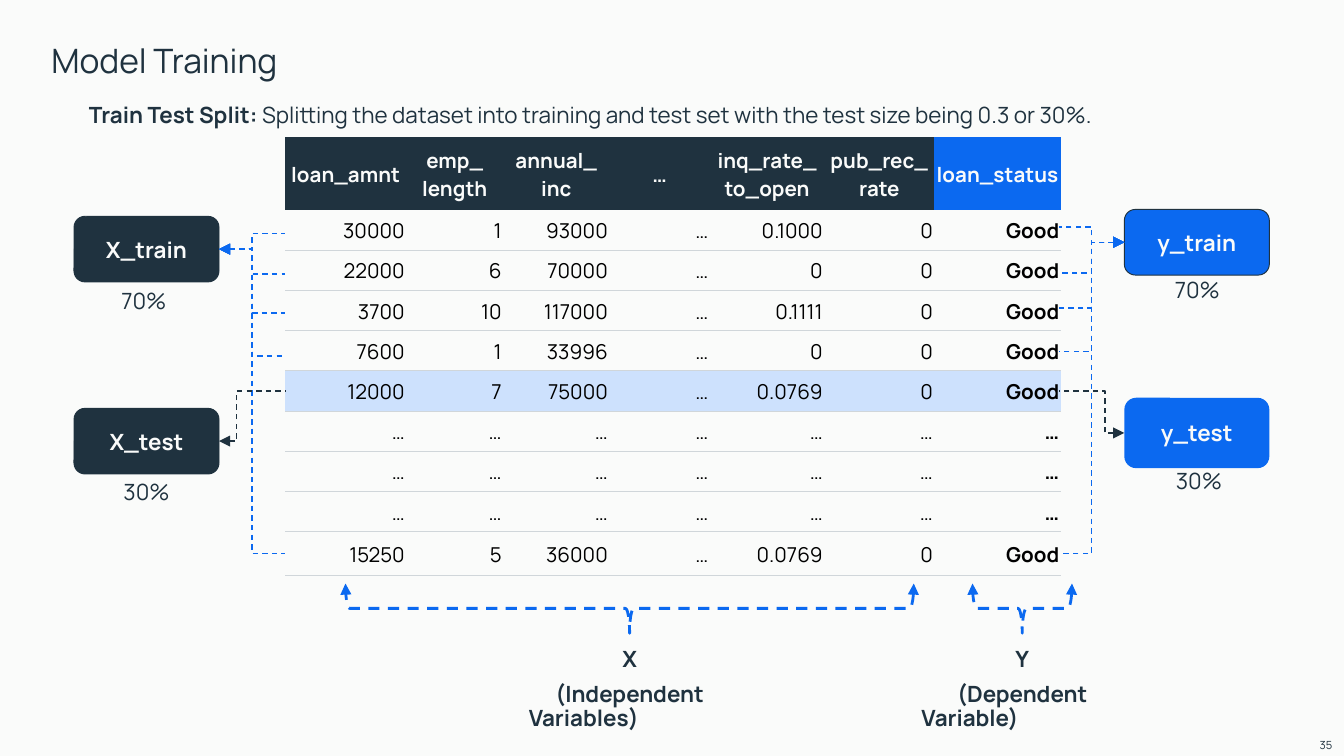
from dataclasses import dataclass

from lxml import etree
from pptx import Presentation
from pptx import util as u
from pptx.dml.color import RGBColor
from pptx.enum import dml, shapes, text
from pptx.oxml.ns import qn


@dataclass(frozen=True)
class Theme:
    font: str = "Manrope"
    dark: RGBColor = RGBColor(0x1F, 0x32, 0x3F)
    blue: RGBColor = RGBColor(0x0B, 0x69, 0xF0)
    pale: RGBColor = RGBColor(0xFA, 0xFB, 0xFA)
    highlight: RGBColor = RGBColor(0xCD, 0xE1, 0xFD)
    rule: RGBColor = RGBColor(0xD0, 0xD6, 0xDA)
    black: RGBColor = RGBColor(0, 0, 0)
    title: int = 18
    body: int = 12
    cell: int = 11
    number: int = 6


theme = Theme()
align = text.PP_ALIGN


def write(frame, lines, size, color, bold=False, alignment=align.CENTER, spacing=1.0, gap=0):
    """Fill a frame without insets, one paragraph per line."""
    frame.margin_left = frame.margin_right = frame.margin_top = frame.margin_bottom = 0
    frame.vertical_anchor = text.MSO_ANCHOR.MIDDLE
    frame.word_wrap = True
    for index, line in enumerate(lines):
        para = frame.add_paragraph() if index else frame.paragraphs[0]
        para.add_run().text = line
        para.alignment = alignment
        para.line_spacing = spacing
        para.space_before = u.Pt(gap if index else 0)
        para.font.name = theme.font
        para.font.size = u.Pt(size)
        para.font.bold = bold
        para.font.color.rgb = color


def dash(line, color, width, ends):
    """Style a dashed line with triangles at the given ends."""
    line.color.rgb = color
    line.width = u.Pt(width)
    line.dash_style = dml.MSO_LINE.DASH
    for end in ends:
        etree.SubElement(line._get_or_add_ln(), qn(f"a:{end}"), type="triangle")


deck = Presentation()
deck.slide_width, deck.slide_height = u.Cm(25.4), u.Cm(14.29)
page = deck.slides.add_slide(deck.slide_layouts[5])
page.background.fill.solid()
page.background.fill.fore_color.rgb = theme.pale

# Title, lead sentence and page number
title = page.shapes.title
title.left, title.top, title.width, title.height = u.Cm(0.97), u.Cm(0.76), u.Cm(23.5), u.Cm(0.86)
write(title.text_frame, ["Model Training"], theme.title, theme.dark, alignment=align.LEFT)
title.text_frame.vertical_anchor = text.MSO_ANCHOR.TOP
title.text_frame.auto_size = text.MSO_AUTO_SIZE.NONE

lead = page.shapes.add_textbox(u.Cm(1.68), u.Cm(1.96), u.Cm(20.29), u.Cm(0.46))
write(lead.text_frame, ["Train Test Split: "], theme.body, theme.dark, alignment=align.LEFT, spacing=0.9)
lead_para = lead.text_frame.paragraphs[0]
lead_para.font.bold = False
lead_para.runs[0].font.bold = True
lead_para.add_run().text = (
    "Splitting the dataset into training and test set with the test size being 0.3 or 30%."
)

number = page.shapes.add_textbox(u.Cm(24.94), u.Cm(13.87), u.Cm(0.25), u.Cm(0.41))
write(number.text_frame, ["35"], theme.number, theme.dark, alignment=align.LEFT)
number.text_frame.word_wrap = False

# Loan table
rows = [
    ["loan_amnt", "emp_\nlength", "annual_\ninc", "…", "inq_rate_\nto_open", "pub_rec_\nrate", "loan_status"],
    ["30000", "1", "93000", "…", "0.1000", "0", "Good"],
    ["22000", "6", "70000", "…", "0", "0", "Good"],
    ["3700", "10", "117000", "…", "0.1111", "0", "Good"],
    ["7600", "1", "33996", "…", "0", "0", "Good"],
    ["12000", "7", "75000", "…", "0.0769", "0", "Good"],
    *[["…"] * 7] * 3,
    ["15250", "5", "36000", "…", "0.0769", "0", "Good"],
]
column_widths = [2.29, 1.83, 2.01, 1.9, 2.16, 2.08, 2.39]
row_heights = [1.38] + [0.76] * 8 + [0.83]
test_row, target_column = 5, 6
table_left, table_right = 5.39, 20.02
frame = page.shapes.add_table(
    len(rows), len(column_widths), u.Cm(table_left), u.Cm(2.59),
    u.Cm(sum(column_widths)), u.Cm(sum(row_heights)),
)
table = frame.table
table.horz_banding = False
# "No Style, No Grid"
table._tbl.tblPr.find(qn("a:tableStyleId")).text = "{2D5ABB26-0587-4C30-8999-92F81FD0307C}"
for column, width in zip(table.columns, column_widths):
    column.width = u.Cm(width)
for row, height in zip(table.rows, row_heights):
    row.height = u.Cm(height)

for r, values in enumerate(rows):
    for c, value in enumerate(values):
        cell = table.cell(r, c)
        header, target = r == 0, c == target_column
        write(
            cell.text_frame, value.split("\n"), theme.cell,
            theme.pale if header else theme.black, header or target,
            align.CENTER if header else align.RIGHT,
        )
        cell.vertical_anchor = text.MSO_ANCHOR.MIDDLE
        cell.margin_left = cell.margin_right = cell.margin_top = u.Cm(0.03)
        cell.margin_bottom = 0
        cell.fill.solid()
        if header:
            cell.fill.fore_color.rgb = theme.blue if target else theme.dark
            continue
        cell.fill.fore_color.rgb = theme.highlight if r == test_row else theme.pale
        border = etree.Element(qn("a:lnB"), w=str(u.Pt(0.5)))
        paint = etree.SubElement(border, qn("a:solidFill"))
        etree.SubElement(paint, qn("a:srgbClr"), val=str(theme.rule))
        cell._tc.get_or_add_tcPr().insert(0, border)

# Braces under the independent and dependent columns: centre, span, label
brace_depth, brace_middle, label_width = 0.94, 11.5, 4.37
for center, span, lines in [
    (11.9, 10.74, ["X", "(Independent Variables)\t\t"]),
    (19.32, 1.88, ["Y", "(Dependent Variable)\t\t"]),
]:
    brace = page.shapes.add_shape(
        shapes.MSO_SHAPE.LEFT_BRACE, u.Cm(center - brace_depth / 2),
        u.Cm(brace_middle - span / 2), u.Cm(brace_depth), u.Cm(span),
    )
    brace.rotation = 270
    brace.shadow.inherit = False
    brace.fill.background()
    dash(brace.line, theme.blue, 1.5, ["headEnd", "tailEnd"])
    label = page.shapes.add_textbox(
        u.Cm(center - label_width / 2), u.Cm(12.24), u.Cm(label_width), u.Cm(1.6)
    )
    write(label.text_frame, lines, theme.body, theme.dark, True, spacing=0.9, gap=6)

# Split boxes with their shares, each wired to its table rows
left, right = 1.4, 21.25
train_share, test_share = "70%", "30%"
for name, x, y, height, fill, outlined, share, share_x, share_y, wire, bend, ends in [
    ("X_train", left, 4.09, 1.24, theme.dark, True, train_share, 2.11, 5.49,
     theme.blue, 50000, [4.42, 5.18, 5.92, 6.73, 10.46]),
    ("X_test", left, 7.72, 1.24, theme.dark, True, test_share, 2.16, 9.09,
     theme.dark, 26500, [7.39]),
    ("y_train", right, 3.96, 1.24, theme.blue, True, train_share, 22.02, 5.28,
     theme.blue, 50000, [4.29, 5.16, 5.82, 6.65, 10.46]),
    ("y_test", right, 7.52, 1.33, theme.blue, False, test_share, 22.05, 8.89,
     theme.dark, 29900, [7.39]),
]:
    box = page.shapes.add_shape(
        shapes.MSO_SHAPE.ROUNDED_RECTANGLE, u.Cm(x), u.Cm(y), u.Cm(2.74), u.Cm(height)
    )
    box.shadow.inherit = False
    box.fill.solid()
    box.fill.fore_color.rgb = fill
    if outlined:
        box.line.color.rgb = theme.dark
        box.line.width = u.Pt(0.5)
    else:
        box.line.fill.background()
    write(box.text_frame, [name], theme.body, theme.pale, True)

    caption = page.shapes.add_textbox(u.Cm(share_x), u.Cm(share_y), u.Cm(1.22), u.Cm(0.46))
    write(caption.text_frame, [share], theme.body, theme.dark, spacing=0.9)

    table_edge, side = (table_left, 3) if x == left else (table_right, 1)
    for end_y in ends:
        link = page.shapes.add_connector(
            shapes.MSO_CONNECTOR.ELBOW, u.Cm(x), u.Cm(y), u.Cm(table_edge), u.Cm(end_y)
        )
        link.begin_connect(box, side)
        dash(link.line, wire, 0.75, ["headEnd"])
        properties = link._element.spPr
        etree.SubElement(properties, qn("a:effectLst"))
        guides = properties.find(qn("a:prstGeom")).find(qn("a:avLst"))
        etree.SubElement(guides, qn("a:gd"), name="adj1", fmla=f"val {bend}")

deck.save("out.pptx")
